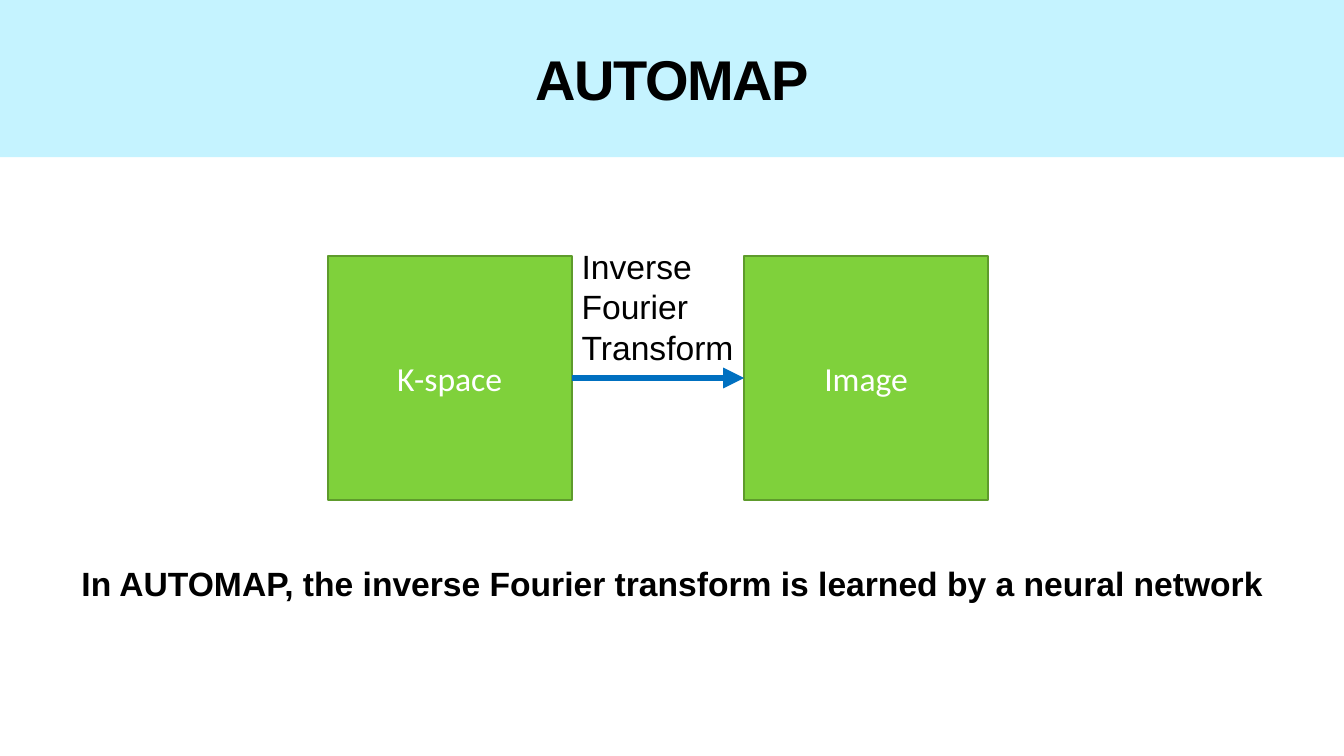
"""Build the AUTOMAP slide: k-space to image by an inverse Fourier transform."""
from dataclasses import dataclass

from lxml.etree import SubElement
from pptx import Presentation
from pptx.dml.color import RGBColor
from pptx.enum.shapes import MSO_CONNECTOR, MSO_SHAPE
from pptx.enum.text import MSO_ANCHOR, PP_ALIGN
from pptx.oxml.ns import qn
from pptx.util import Inches, Pt

TITLE = "AUTOMAP"
STAGES = ["K-space", "Image"]
OPERATION = ["Inverse", "Fourier", "Transform"]
SUMMARY = "In AUTOMAP, the inverse Fourier transform is learned by a neural network"

SLIDE_WIDTH, SLIDE_HEIGHT = 13.33, 7.5
BANNER_HEIGHT = 1.56
STAGE_LEFT, STAGE_TOP, STAGE_SIZE, STAGE_GAP = 3.25, 2.54, 2.42, 1.71


@dataclass(frozen=True)
class Theme:
    """Colours, fonts and type sizes."""
    banner: str = "C5F3FF"
    stage: str = "7FD13B"
    stage_edge: str = "5E9B2C"
    arrow: str = "0070C0"
    dark: str = "000000"
    light: str = "FFFFFF"
    heading_font: str = "Arial"
    stage_font: str = "Calibri"
    title_size: int = 40
    body_size: int = 24


THEME = Theme()


def write(shape, lines, *, size=THEME.body_size, font=THEME.heading_font, color=THEME.dark,
          bold=False, align=PP_ALIGN.LEFT, anchor=MSO_ANCHOR.TOP, wrap=True, spacing=0):
    """Fill a shape with one formatted paragraph per line."""
    frame = shape.text_frame
    frame.word_wrap = wrap
    frame.vertical_anchor = anchor
    for index, line in enumerate(lines):
        paragraph = frame.paragraphs[0] if index == 0 else frame.add_paragraph()
        paragraph.alignment = align
        run = paragraph.add_run()
        run.text = line
        run.font.name = font
        run.font.size = Pt(size)
        run.font.bold = bold
        run.font.color.rgb = RGBColor.from_string(color)
        if spacing:
            run.font._element.set("spc", str(spacing * 100))


def add_box(slide, text, left, top, width, height, *, fill, edge=None, **text_format):
    """Add a filled rectangle with centred text."""
    shape = slide.shapes.add_shape(
        MSO_SHAPE.RECTANGLE, Inches(left), Inches(top), Inches(width), Inches(height))
    shape.shadow.inherit = False
    shape.fill.solid()
    shape.fill.fore_color.rgb = RGBColor.from_string(fill)
    if edge:
        shape.line.color.rgb = RGBColor.from_string(edge)
        shape.line.width = Pt(1.5)
    else:
        shape.line.fill.background()
    write(shape, [text], align=PP_ALIGN.CENTER, anchor=MSO_ANCHOR.MIDDLE, **text_format)
    return shape


def add_label(slide, lines, left, top, width, height, **text_format):
    """Add a plain text box."""
    label = slide.shapes.add_textbox(Inches(left), Inches(top), Inches(width), Inches(height))
    write(label, lines, **text_format)


def add_arrow(slide, source, target):
    """Join the right side of one box to the left side of another."""
    arrow = slide.shapes.add_connector(MSO_CONNECTOR.STRAIGHT, 0, 0, 0, 0)
    arrow.begin_connect(source, 3)
    arrow.end_connect(target, 1)
    arrow.line.color.rgb = RGBColor.from_string(THEME.arrow)
    arrow.line.width = Pt(5)
    SubElement(arrow.line._get_or_add_ln(), qn("a:tailEnd"), type="triangle")
    SubElement(arrow._element.spPr, qn("a:effectLst"))


def main():
    """Compose and save the slide."""
    presentation = Presentation()
    presentation.slide_width = Inches(SLIDE_WIDTH)
    presentation.slide_height = Inches(SLIDE_HEIGHT)
    slide = presentation.slides.add_slide(presentation.slide_layouts[6])

    add_box(slide, TITLE, 0, 0, SLIDE_WIDTH, BANNER_HEIGHT, fill=THEME.banner,
            size=THEME.title_size, bold=True, spacing=-1)
    stages = [
        add_box(slide, name, STAGE_LEFT + index * (STAGE_SIZE + STAGE_GAP), STAGE_TOP,
                STAGE_SIZE, STAGE_SIZE, fill=THEME.stage, edge=THEME.stage_edge,
                font=THEME.stage_font, color=THEME.light)
        for index, name in enumerate(STAGES)
    ]
    add_arrow(slide, *stages)
    add_label(slide, OPERATION, STAGE_LEFT + STAGE_SIZE, 2.39, STAGE_GAP, 1.31, wrap=False)
    add_label(slide, [SUMMARY], 0.71, 5.54, 12.49, 0.5, bold=True)
    presentation.save("out.pptx")


if __name__ == "__main__":
    main()
